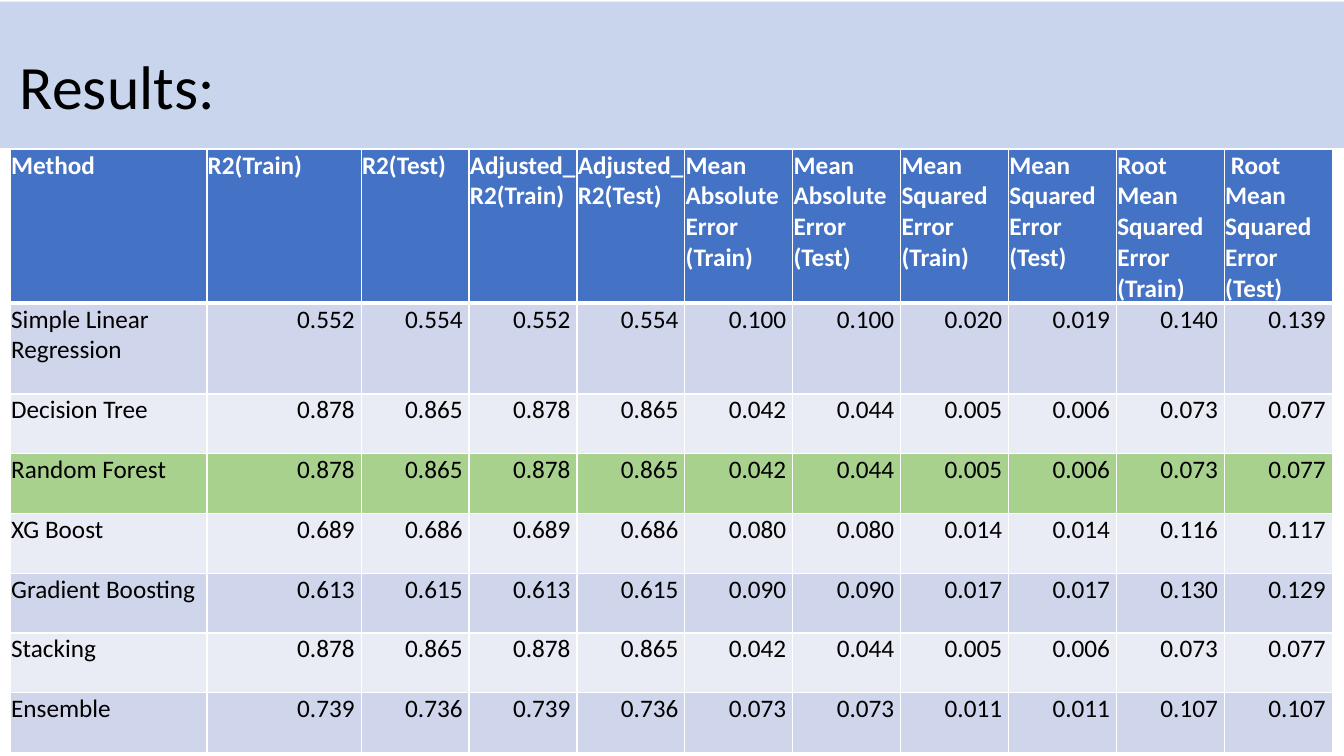
from dataclasses import dataclass
from lxml.etree import SubElement
from pptx import Presentation
from pptx.dml.color import RGBColor
from pptx.enum.shapes import MSO_SHAPE
from pptx.enum.text import MSO_ANCHOR, PP_ALIGN
from pptx.oxml.ns import qn
from pptx.util import Pt


@dataclass(frozen=True)
class Theme:
    face: str = "Calibri"
    title: int = 44
    body: int = 18
    ink: str = "000000"
    white: str = "FFFFFF"
    band: str = "8FAADC"
    alpha: int = 49
    head: str = "4472C4"
    odd: str = "CFD5EA"
    even: str = "E9EBF5"
    best: str = "A9D18E"


THEME = Theme()
BEST = "Random Forest"
HEADS = ["Method", "R2(Train)", "R2(Test)", "Adjusted_R2(Train)",
         "Adjusted_R2(Test)", "Mean Absolute Error (Train)",
         "Mean Absolute Error (Test)", "Mean Squared Error (Train)",
         "Mean Squared Error (Test)", "Root Mean Squared Error (Train)",
         " Root Mean Squared Error (Test)"]
SCORES = {
    "Simple Linear Regression":
        [.552, .554, .552, .554, .100, .100, .020, .019, .140, .139],
    "Decision Tree":
        [.878, .865, .878, .865, .042, .044, .005, .006, .073, .077],
    "Random Forest":
        [.878, .865, .878, .865, .042, .044, .005, .006, .073, .077],
    "XG Boost":
        [.689, .686, .689, .686, .080, .080, .014, .014, .116, .117],
    "Gradient Boosting":
        [.613, .615, .613, .615, .090, .090, .017, .017, .130, .129],
    "Stacking":
        [.878, .865, .878, .865, .042, .044, .005, .006, .073, .077],
    "Ensemble":
        [.739, .736, .739, .736, .073, .073, .011, .011, .107, .107],
}


def rgb(code):
    return RGBColor.from_string(code)


def add_run(para, text, size, color, bold=False):
    run = para.add_run()
    run.text = text
    font = run.font
    font.name, font.size, font.bold = THEME.face, Pt(size), bold
    font.color.rgb = rgb(color)


def add_title(slide, box, text):
    left, top, width, height = box
    # Tinted band
    band = slide.shapes.add_shape(
        MSO_SHAPE.RECTANGLE, Pt(left), Pt(top), Pt(width), Pt(height))
    band.shadow.inherit = False
    band.fill.solid()
    band.fill.fore_color.rgb = rgb(THEME.band)
    band.line.fill.background()
    tint = band.fill._xPr.find(".//" + qn("a:srgbClr"))
    SubElement(tint, qn("a:alpha"), val=str(THEME.alpha * 1000))
    # Heading, set a little below the band's middle
    label = slide.shapes.add_textbox(
        Pt(left + 7.2), Pt(top + 10.8), Pt(828), Pt(height))
    frame = label.text_frame
    frame.word_wrap = True
    frame.vertical_anchor = MSO_ANCHOR.MIDDLE
    para = frame.paragraphs[0]
    para.line_spacing = 0.9
    add_run(para, text, THEME.title, THEME.ink)


def add_edge(cell, side, width):
    line = SubElement(cell._tc.get_or_add_tcPr(), qn("a:ln" + side),
                      w=str(Pt(width)))
    fill = SubElement(line, qn("a:solidFill"))
    SubElement(fill, qn("a:srgbClr"), val=THEME.white)


def fill_cell(cell, text, fill, head, right):
    cell.margin_left = cell.margin_right = cell.margin_top = Pt(0.6)
    cell.margin_bottom = 0
    # Edges, heavier under the header
    for side in "LRTB":
        add_edge(cell, side, 3 if head and side == "B" else 1)
    cell.fill.solid()
    cell.fill.fore_color.rgb = rgb(fill)
    para = cell.text_frame.paragraphs[0]
    para.alignment = PP_ALIGN.RIGHT if right else PP_ALIGN.LEFT
    add_run(para, text, THEME.body, THEME.white if head else THEME.ink, head)


def add_scores(slide, box):
    left, top, width, height = box
    rows = [HEADS] + [[name] + [f"{val:.3f} " for val in vals]
                      for name, vals in SCORES.items()]
    grid = slide.shapes.add_table(
        len(rows), len(HEADS), Pt(left), Pt(top), Pt(width), Pt(height)).table
    # Two wide columns, the rest equal
    wide = [140.4, 110.2]
    rest = (width - sum(wide)) / (len(HEADS) - len(wide))
    for i, col in enumerate(grid.columns):
        col.width = Pt(wide[i] if i < len(wide) else rest)
    # Tall header and first row, the rest equal
    tall = [110, 64.8]
    rest = (height - sum(tall)) / (len(rows) - len(tall))
    for i, row in enumerate(grid.rows):
        row.height = Pt(tall[i] if i < len(tall) else rest)
    # Cells
    for i, row in enumerate(rows):
        if i == 0:
            fill = THEME.head
        elif row[0] == BEST:
            fill = THEME.best
        else:
            fill = THEME.odd if i % 2 else THEME.even
        for j, text in enumerate(row):
            fill_cell(grid.cell(i, j), text, fill, i == 0, i > 0 and j > 0)


def main():
    deck = Presentation()
    deck.slide_width, deck.slide_height = Pt(960), Pt(540)
    slide = deck.slides.add_slide(deck.slide_layouts[6])
    add_title(slide, (0, 1.2, 960, 104.4), "Results:")
    add_scores(slide, (7.4, 106.6, 944.4, 431))
    deck.save("out.pptx")


if __name__ == "__main__":
    main()
